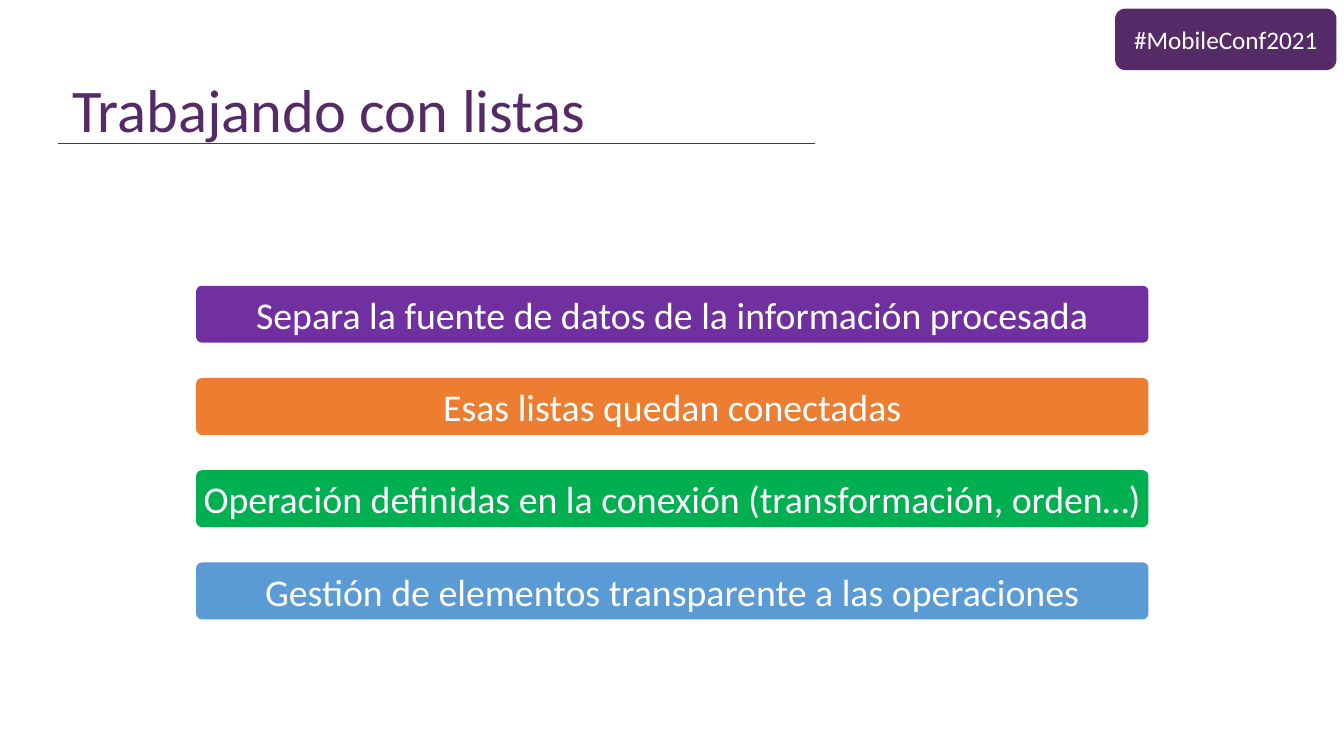
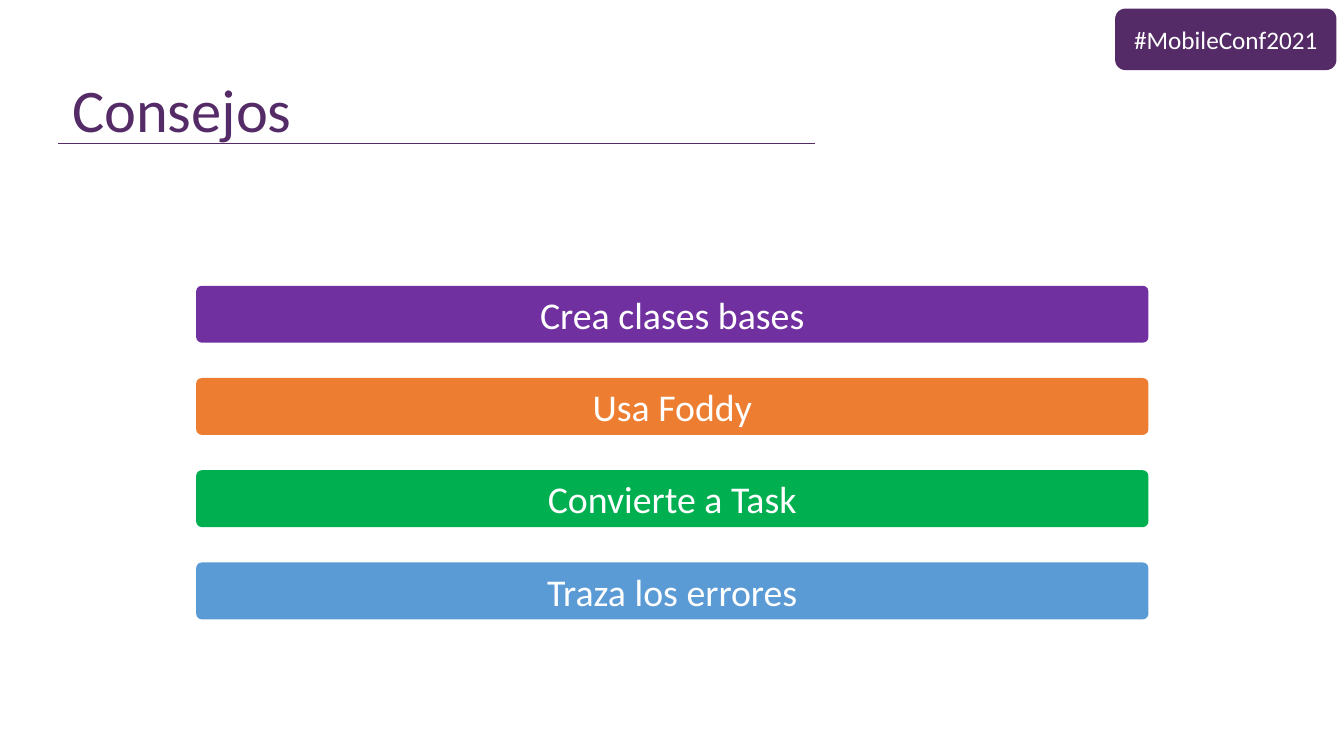
from dataclasses import dataclass

from lxml import etree
from pptx import Presentation
from pptx.dml.color import RGBColor
from pptx.enum import shapes, text
from pptx.oxml import ns
from pptx.util import Inches, Pt


@dataclass(frozen=True)
class Theme:
    font: str = "Calibri"
    main: str = "552B67"
    white: str = "FFFFFF"
    bars: tuple = ("7030A0", "ED7D31", "00B050", "5B9BD5")
    title_size: float = 86.4
    bar_size: float = 54
    tag_size: float = 36


THEME = Theme()
HASHTAG = "#MobileConf2021"

# Bar stack geometry, in inches
BAR_LEFT, BAR_TOP, BAR_WIDTH, BAR_HEIGHT = 3.89, 5.67, 18.89, 1.13
BAR_STEP = 1.83

SLIDES = [
    ("Trabajando con listas", [
        "Separa la fuente de datos de la información procesada",
        "Esas listas quedan conectadas",
        "Operación definidas en la conexión (transformación, orden…)",
        "Gestión de elementos transparente a las operaciones",
    ]),
    ("Consejos", [
        "Crea clases bases",
        "Usa Foddy",
        "Convierte a Task",
        "Traza los errores",
    ]),
]


def set_text(sp, words, size, color, align, anchor):
    tf = sp.text_frame
    tf.text = words
    tf.word_wrap = True
    tf.vertical_anchor = anchor
    p = tf.paragraphs[0]
    p.alignment = align
    font = p.runs[0].font
    font.name = THEME.font
    font.size = Pt(size)
    font.color.rgb = RGBColor.from_string(color)
    return p


def add_title(s, words):
    # Rule under the title
    line = s.shapes.add_connector(shapes.MSO_CONNECTOR.STRAIGHT, Inches(1.16),
                                  Inches(2.84), Inches(16.16), Inches(2.84))
    line.line.color.rgb = RGBColor.from_string(THEME.main)
    line.line.width = Pt(0.5)
    sp_pr = line._element.find(ns.qn("p:spPr"))
    etree.SubElement(sp_pr, ns.qn("a:effectLst"))

    # Title text, resting on the rule
    box = s.shapes.add_textbox(Inches(1.33), Inches(1.41),
                               Inches(18.89), Inches(1.53))
    p = set_text(box, words, THEME.title_size, THEME.main,
                 text.PP_ALIGN.LEFT, text.MSO_ANCHOR.BOTTOM)
    p.line_spacing = 0.9


def add_pill(s, words, left, top, width, height, fill, size, corner=0.1667):
    sp = s.shapes.add_shape(shapes.MSO_SHAPE.ROUNDED_RECTANGLE, Inches(left),
                            Inches(top), Inches(width), Inches(height))
    sp.adjustments[0] = corner
    sp.shadow.inherit = False
    sp.fill.solid()
    sp.fill.fore_color.rgb = RGBColor.from_string(fill)
    sp.line.fill.background()
    set_text(sp, words, size, THEME.white,
             text.PP_ALIGN.CENTER, text.MSO_ANCHOR.MIDDLE)


def add_bars(s, points):
    for i, (words, fill) in enumerate(zip(points, THEME.bars)):
        add_pill(s, words, BAR_LEFT, BAR_TOP + i * BAR_STEP, BAR_WIDTH,
                 BAR_HEIGHT, fill, THEME.bar_size, corner=0.1)


def add_hashtag(s):
    add_pill(s, HASHTAG, 22.12, 0.17, 4.39, 1.22, THEME.main, THEME.tag_size)


def main():
    prs = Presentation()
    prs.slide_width, prs.slide_height = Inches(26.66), Inches(15)
    blank = prs.slide_layouts[6]
    for title, points in SLIDES:
        s = prs.slides.add_slide(blank)
        add_title(s, title)
        add_bars(s, points)
        add_hashtag(s)
    prs.save("out.pptx")


if __name__ == "__main__":
    main()
